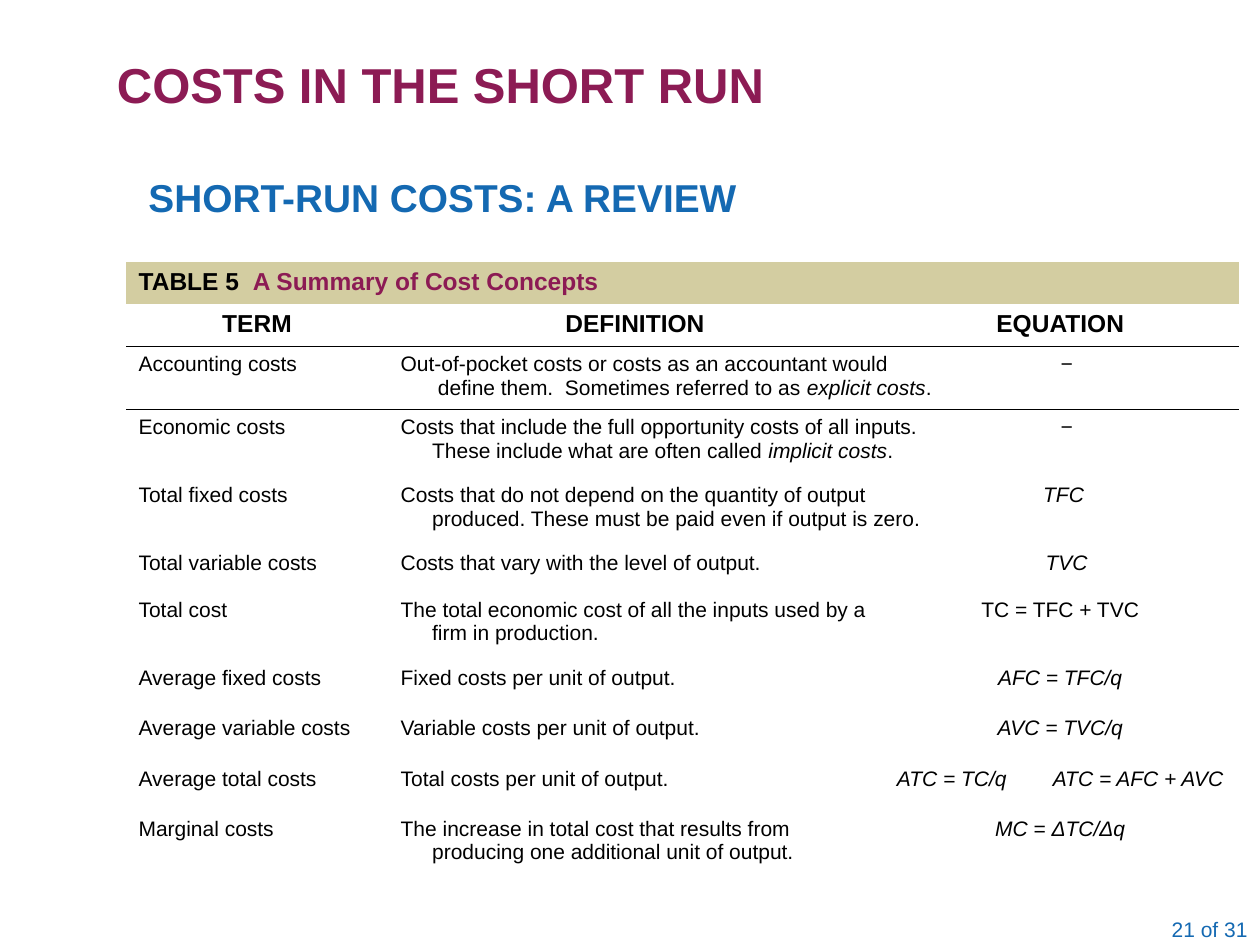
from pptx import Presentation
from pptx.dml.color import RGBColor
from pptx.enum.text import MSO_ANCHOR, PP_ALIGN
from pptx.oxml import parse_xml
from pptx.oxml.ns import nsdecls, qn
from pptx.util import Inches, Pt

LEFT, CENTER, RIGHT = PP_ALIGN.LEFT, PP_ALIGN.CENTER, PP_ALIGN.RIGHT
TOP, MIDDLE, BOTTOM = MSO_ANCHOR.TOP, MSO_ANCHOR.MIDDLE, MSO_ANCHOR.BOTTOM

BLACK = RGBColor(0x00, 0x00, 0x00)
PLUM = RGBColor(0x8C, 0x1B, 0x54)
BLUE = RGBColor(0x14, 0x69, 0xB2)
SAND = RGBColor(0xD3, 0xCD, 0xA1)

FONT = "Arial"
PLAIN_TABLE_STYLE = "{2D5ABB26-0587-4C30-8999-92F81FD0307C}"
COL_WIDTHS = [2.08, 3.92, 0.5, 2.33]
ROW_HEIGHTS = [0.33, 0.33, 0.5, 0.54, 0.54, 0.37, 0.54, 0.4, 0.4, 0.4, 0.5]
HEADINGS = ["TERM", "DEFINITION", "EQUATION"]
WIDE_DEFINITIONS = 4   # the first terms have a wider definition column
EQUATION_GAP = 23      # extra points between two equations in one cell

ITALIC = {"italic": True}

# Term, definition (a string or formatted parts), equation parts
COSTS = [
    ("Accounting costs",
     ["Out-of-pocket costs or costs as an accountant would\n"
      " define them.  Sometimes referred to as ",
      ("explicit costs", ITALIC), "."],
     [("−", ITALIC)]),
    ("Economic costs",
     ["Costs that include the full opportunity costs of all inputs. "
      "These include what are often called ",
      ("implicit costs", ITALIC), "."],
     [("−", ITALIC)]),
    ("Total fixed costs",
     "Costs that do not depend on the quantity of output produced. "
     "These must be paid even if output is zero.",
     [("TFC ", ITALIC)]),
    ("Total variable costs", "Costs that vary with the level of output.",
     [("TVC", ITALIC)]),
    ("Total cost",
     "The total economic cost of all the inputs used by a firm in production.",
     "TC = TFC + TVC"),
    ("Average fixed costs", "Fixed costs per unit of output.",
     [("AFC = TFC/q", ITALIC)]),
    ("Average variable costs", "Variable costs per unit of output.",
     [("AVC = TVC/q", ITALIC)]),
    ("Average total costs", "Total costs per unit of output.",
     [("ATC = TC/q", ITALIC), (" ", {"spread": EQUATION_GAP}),
      ("ATC = AFC + AVC", ITALIC)]),
    ("Marginal costs",
     "The increase in total cost that results from producing "
     "one additional unit of output.",
     [("MC = ΔTC/Δq", ITALIC)]),
]


def add_run(p, text, size, color, bold=False, italic=False, spread=0):
    r = p.add_run()
    r.text = text
    r.font.name, r.font.size = FONT, Pt(size)
    r.font.bold, r.font.italic = bold, italic
    r.font.color.rgb = color
    if spread:
        r.font._element.set("spc", str(spread * 100))


def write(tf, text, size=12, color=BLACK, bold=False, align=LEFT, space=0,
          hanging=0):
    """Fill the first paragraph; text is a string or a list of parts."""
    p = tf.paragraphs[0]
    p.alignment = align
    p.space_before = p.space_after = Pt(space)
    if hanging:
        pPr = p._p.get_or_add_pPr()
        pPr.set("marL", str(Inches(hanging)))
        pPr.set("indent", str(-Inches(hanging)))
    for part in [text] if isinstance(text, str) else text:
        words, extra = (part, {}) if isinstance(part, str) else part
        style = {"size": size, "color": color, "bold": bold, **extra}
        for i, line in enumerate(words.split("\n")):
            if i:
                p.add_line_break()
            add_run(p, line, **style)


def add_text(s, box, text, anchor=TOP, bottom=0.05, **style):
    tf = s.shapes.add_textbox(*map(Inches, box)).text_frame
    tf.word_wrap = True
    tf.vertical_anchor = anchor
    tf.margin_bottom = Inches(bottom)
    write(tf, text, **style)


def add_rule(cell, side):
    """Draw a thin black line on the top (T) or bottom (B) of a cell."""
    cell._tc.get_or_add_tcPr().insert(0, parse_xml(
        f'<a:ln{side} w="{Pt(0.45)}" {nsdecls("a")}><a:solidFill>'
        f'<a:srgbClr val="{BLACK}"/></a:solidFill></a:ln{side}>'))


def add_headings(s, left, top, width):
    add_text(s, (left, top, width, 1), "COSTS IN THE SHORT RUN",
             anchor=BOTTOM, bottom=0.1, size=28, color=PLUM, bold=True)
    add_text(s, (left + 0.25, top + 1.33, 8.08, 0.5),
             "SHORT-RUN COSTS: A REVIEW", size=22.2, color=BLUE, bold=True,
             space=3)


def add_cost_table(s, left, top):
    box = (left, top, sum(COL_WIDTHS), sum(ROW_HEIGHTS))
    table = s.shapes.add_table(len(ROW_HEIGHTS), len(COL_WIDTHS),
                               *map(Inches, box)).table
    table.first_row = table.horz_banding = False
    table._tbl.tblPr.find(qn("a:tableStyleId")).text = PLAIN_TABLE_STYLE
    for col, width in zip(table.columns, COL_WIDTHS):
        col.width = Inches(width)
    for row, height in zip(table.rows, ROW_HEIGHTS):
        row.height = Inches(height)
    for cell in table.iter_cells():
        cell.fill.background()

    # Caption band
    caption = table.cell(0, 0)
    caption.merge(table.cell(0, 3))
    caption.fill.solid()
    caption.fill.fore_color.rgb = SAND
    write(caption.text_frame,
          ["TABLE 5  ", ("A Summary of Cost Concepts", {"color": PLUM})],
          size=14, bold=True)

    # Column headings and the rule below them
    table.cell(1, 2).merge(table.cell(1, 3))
    for c, heading in enumerate(HEADINGS):
        write(table.cell(1, c).text_frame, heading, size=14, bold=True,
              align=CENTER, space=1.8)
    for c in range(len(COL_WIDTHS)):
        add_rule(table.cell(1, c), "B")
        add_rule(table.cell(2, c), "T")

    # One row for each cost
    for i, (term, definition, equation) in enumerate(COSTS):
        row = i + 2
        wide = i < WIDE_DEFINITIONS
        start = 1 if wide else 2
        table.cell(row, start).merge(table.cell(row, start + 1))
        result = table.cell(row, 3 if wide else 2)
        if wide:
            result.margin_right = Inches(0.5)
        write(table.cell(row, 0).text_frame, term, space=1.5)
        write(table.cell(row, 1).text_frame, definition, space=1.5,
              hanging=0.25)
        write(result.text_frame, equation, align=CENTER, space=1.5)


def add_page_number(s, box):
    add_text(s, box, "21 of 31", anchor=MIDDLE, color=BLUE, align=RIGHT)


def main():
    prs = Presentation()
    prs.slide_width, prs.slide_height = Inches(10), Inches(7.5)
    s = prs.slides.add_slide(prs.slide_layouts[6])
    add_page_number(s, (9.17, 7.25, 0.83, 0.25))
    add_headings(s, 0.83, 0, 9.17)
    add_cost_table(s, 1, 2.08)
    prs.save("out.pptx")


if __name__ == "__main__":
    main()
